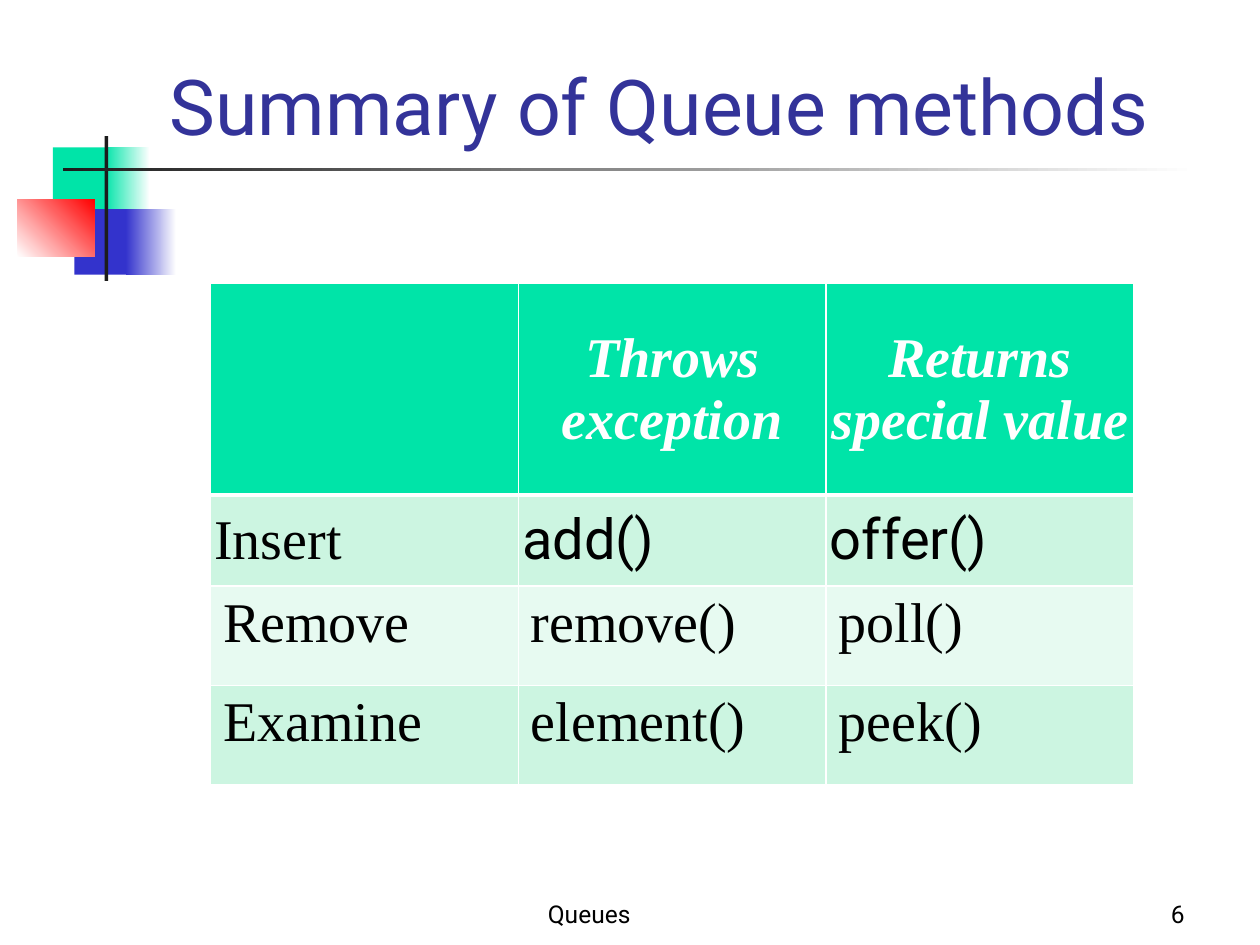
import pptx
import pptx.util
import pptx.dml.color
import pptx.enum.shapes
import pptx.enum.text
import pptx.oxml
import pptx.oxml.ns

ANCHOR = pptx.enum.text.MSO_ANCHOR
ALIGN = pptx.enum.text.PP_ALIGN
inches = pptx.util.Inches

THEME = {
    "sans": "Roboto", "serif": "Times New Roman",
    "title_size": 44, "table_size": 32, "footer_size": 14,
    "title": "333399", "text": "000000", "white": "FFFFFF",
    "green": "00E4A8", "blue": "3333CC", "red": "FF0000", "dark": "1C1C1C",
    "bands": ("CCF5E1", "E7FAF1"),
}

# left, top, width, height, colours (two make a gradient), gradient angle
ORNAMENTS = [
    (0.42, 1.17, 0.48, 0.52, ["green"], 0),
    (0.83, 1.17, 0.36, 0.52, ["green", "white"], 0),
    (0.59, 1.66, 0.46, 0.52, ["blue"], 0),
    (1.00, 1.66, 0.40, 0.52, ["blue", "white"], 0),
    (0.14, 1.58, 0.61, 0.46, ["white", "red"], 45),
    (0.83, 1.08, 0.03, 1.15, ["dark"], 0),
    (0.50, 1.33, 9.00, 0.03, ["dark", "white"], 0),
]

# text, box, size, colour, alignment
TEXTS = [
    ("Summary of Queue methods", (1.25, 0, 8.52, 1.25), "title_size", "title", ALIGN.LEFT),
    ("Queues", (4.25, 6.92, 2.08, 0.5), "footer_size", "text", ALIGN.LEFT),
    ("6", (7.42, 6.92, 2.08, 0.5), "footer_size", "text", ALIGN.RIGHT),
]

METHODS = [
    ("", "Throws exception", "Returns special value"),
    ("Insert", "add()", "offer()"),
    ("Remove", "remove()", "poll()"),
    ("Examine", "element()", "peek()"),
]
TABLE_BOX = (1.67, 2.25, 7.33, 3.98)
ROW_HEIGHTS = (1.68, 0.72, 0.79, 0.79)
TIGHT_ROWS = (0, 1)
TIGHT_INSET = 0.03


def rgb(name):
    """Return the colour for a theme name or a hex value."""
    return pptx.dml.color.RGBColor.from_string(THEME.get(name, name))


def style(p, size, face, color, align=ALIGN.LEFT, strong=False):
    """Set the font and alignment of a paragraph."""
    p.alignment = align
    p.font.size = pptx.util.Pt(THEME[size])
    p.font.name = THEME[face]
    p.font.color.rgb = rgb(color)
    p.font.bold = p.font.italic = strong


def add_ornament(s, left, top, width, height, colors, angle):
    """Add a borderless rectangle with a plain or gradient fill."""
    sp = s.shapes.add_shape(pptx.enum.shapes.MSO_SHAPE.RECTANGLE,
                            *map(inches, (left, top, width, height)))
    sp.shadow.inherit = False
    sp.line.fill.background()
    if len(colors) == 1:
        sp.fill.solid()
        sp.fill.fore_color.rgb = rgb(colors[0])
        return
    sp.fill.gradient()
    sp.fill.gradient_angle = angle
    for position, (stop, color) in enumerate(zip(sp.fill.gradient_stops, colors)):
        stop.position = position
        stop.color.rgb = rgb(color)


def add_text(s, text, box, size, color, align):
    """Add a bottom-anchored line of text."""
    tf = s.shapes.add_textbox(*map(inches, box)).text_frame
    tf.word_wrap = True
    tf.vertical_anchor = ANCHOR.BOTTOM
    p = tf.paragraphs[0]
    p.text = text
    style(p, size, "sans", color, align)


def set_borders(cell, bottom):
    """Draw white cell borders, with the given bottom width in points."""
    tcPr = cell._tc.get_or_add_tcPr()
    for i, (side, points) in enumerate(zip("LRTB", (1, 1, 1, bottom))):
        tcPr.insert(i, pptx.oxml.parse_xml(
            f'<a:ln{side} {pptx.oxml.ns.nsdecls("a")} w="{pptx.util.Pt(points)}">'
            f'<a:solidFill><a:srgbClr val="{THEME["white"]}"/></a:solidFill>'
            f'</a:ln{side}>'))


def add_methods_table(s):
    """Add the table of queue methods with its header and banded rows."""
    table = s.shapes.add_table(len(METHODS), len(METHODS[0]),
                               *map(inches, TABLE_BOX)).table
    for row, height in zip(table.rows, ROW_HEIGHTS):
        row.height = inches(height)
    for i, values in enumerate(METHODS):
        header = i == 0
        for j, value in enumerate(values):
            cell = table.cell(i, j)
            cell.fill.solid()
            cell.fill.fore_color.rgb = rgb("green" if header else THEME["bands"][(i - 1) % 2])
            set_borders(cell, 3 if header else 1)
            if i in TIGHT_ROWS:
                cell.vertical_anchor = ANCHOR.MIDDLE
                cell.margin_left = cell.margin_right = inches(TIGHT_INSET)
                cell.margin_top = cell.margin_bottom = inches(TIGHT_INSET)
            p = cell.text_frame.paragraphs[0]
            p.text = value
            style(p, "table_size", "sans" if i == 1 and j > 0 else "serif",
                  "white" if header else "text",
                  ALIGN.CENTER if header else ALIGN.LEFT, header)


prs = pptx.Presentation()
prs.slide_width, prs.slide_height = inches(10), inches(7.5)
s = prs.slides.add_slide(prs.slide_layouts[6])
for ornament in ORNAMENTS:
    add_ornament(s, *ornament)
for text in TEXTS:
    add_text(s, *text)
add_methods_table(s)
prs.save("out.pptx")
